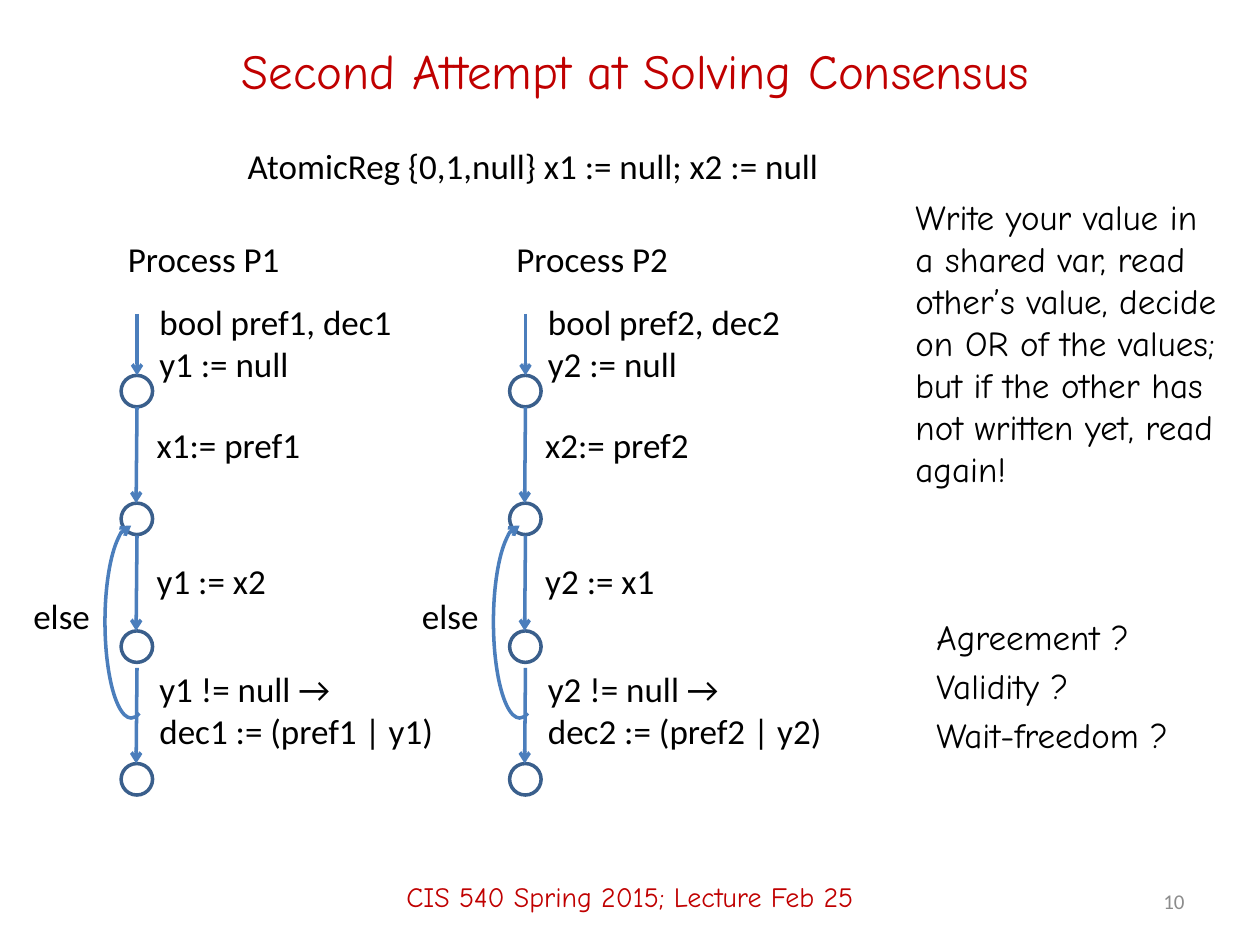
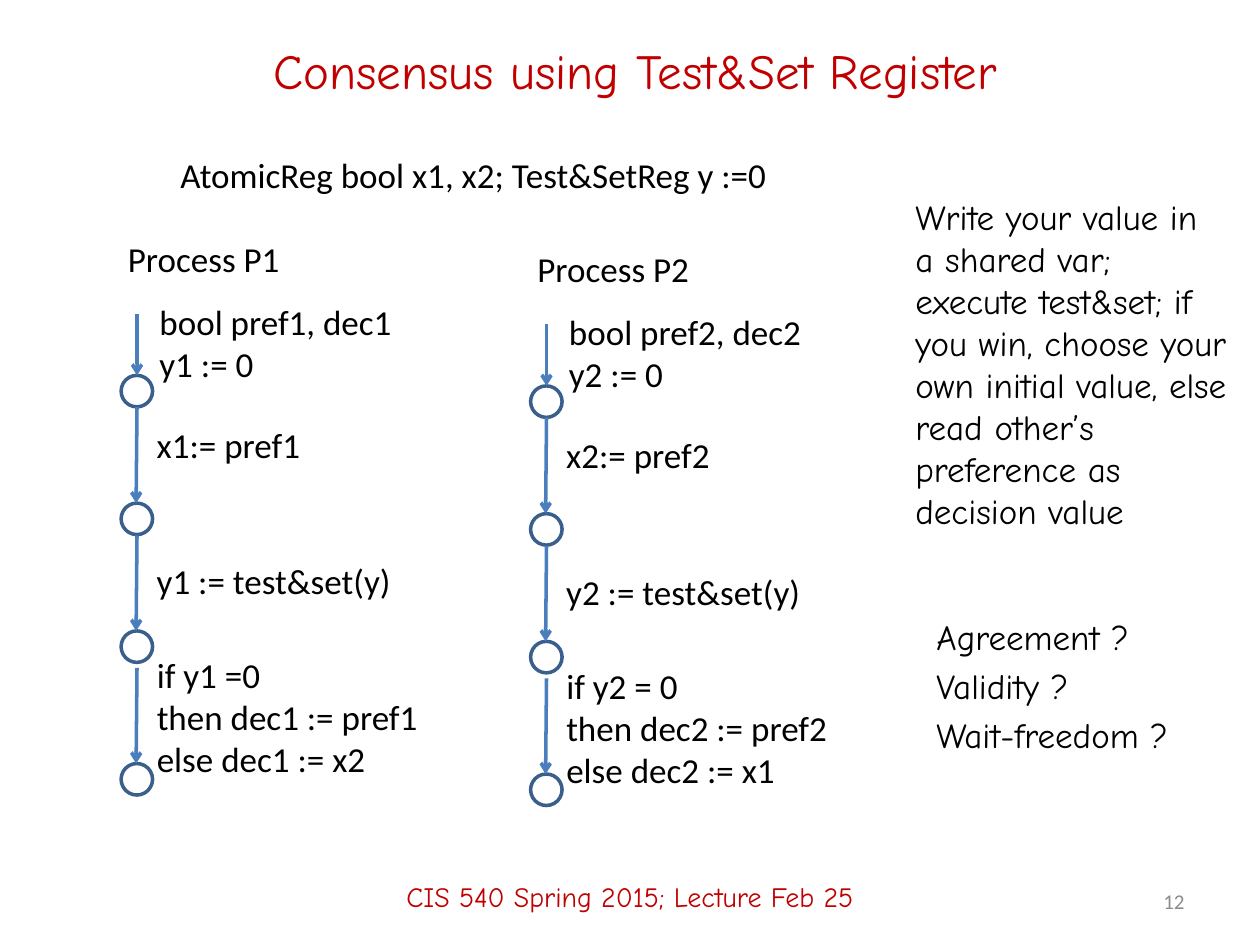
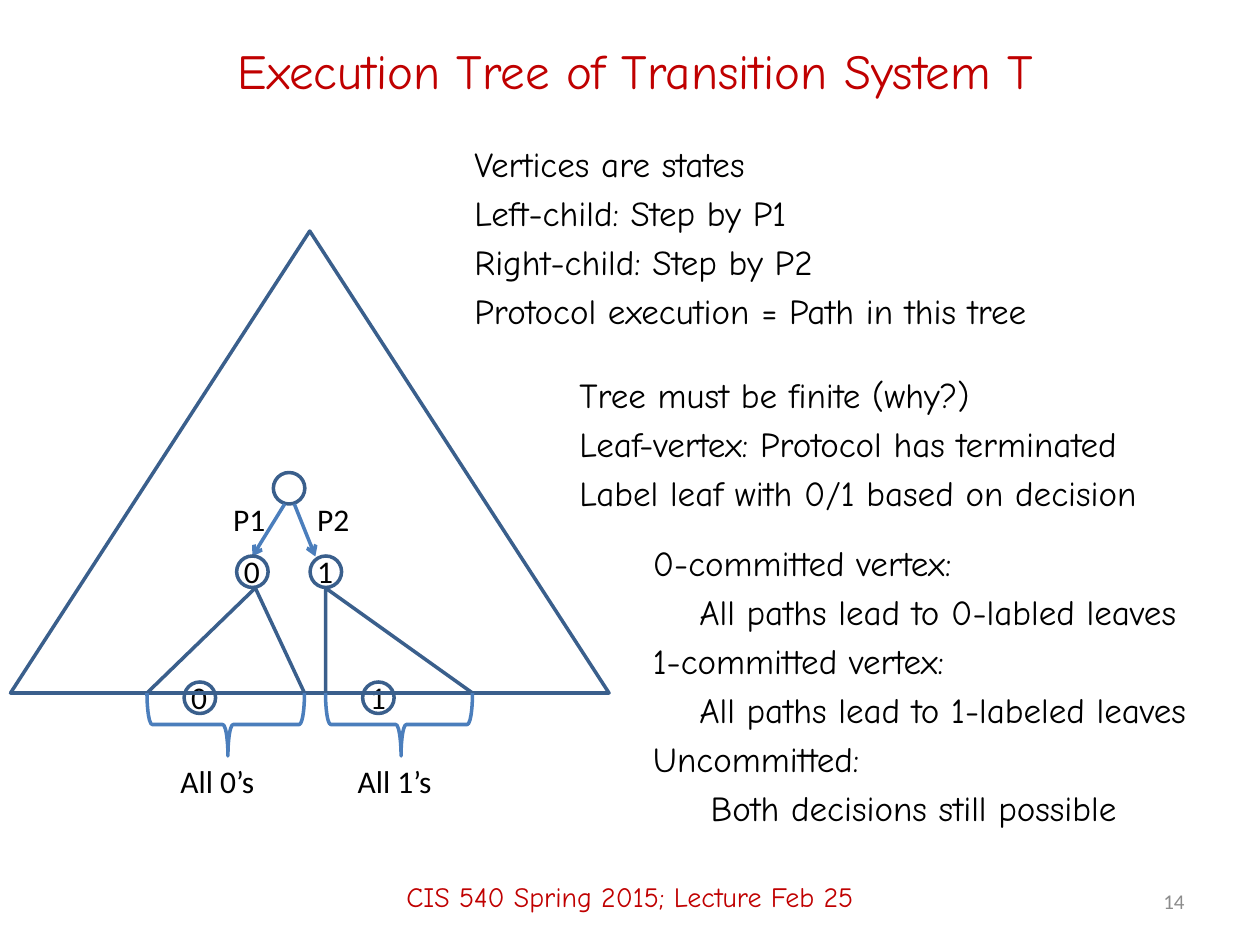
from lxml.etree import SubElement
from pptx import Presentation
from pptx.dml.color import RGBColor
from pptx.enum.shapes import MSO_CONNECTOR, MSO_SHAPE
from pptx.enum.text import MSO_ANCHOR, MSO_AUTO_SIZE, PP_ALIGN
from pptx.oxml.ns import qn
from pptx.util import Pt

COLORS = {
    "title": "C00000",
    "text": "000000",
    "number": "8C8C8C",
    "outline": "3A5F8C",
    "arrow": "4B7EBC",
}
HAND_FONT = "Comic Neue"
CODE_FONT = "Calibri"
NODE = 18
COURSE = "CIS 540 Spring 2015; Lecture Feb 25"
QUESTIONS = ["Agreement ?", "Validity ?", "Wait-freedom ?"]


def rgb(name):
    return RGBColor.from_string(COLORS[name])


def add_text(page, lines, left, top, width, height, font=CODE_FONT, size=20,
             color="text", align=PP_ALIGN.LEFT, anchor=MSO_ANCHOR.TOP,
             gap=0, indents=(), wrap=True):
    box = page.shapes.add_textbox(Pt(left), Pt(top), Pt(width), Pt(height))
    frame = box.text_frame
    frame.word_wrap = wrap
    frame.vertical_anchor = anchor
    if not wrap:
        frame.auto_size = MSO_AUTO_SIZE.SHAPE_TO_FIT_TEXT
    for index, line in enumerate(lines):
        para = frame.add_paragraph() if index else frame.paragraphs[0]
        para.text = line
        para.alignment = align
        if index and gap:
            para.space_before = Pt(gap)
        if indents and indents[index]:
            para._p.get_or_add_pPr().set("marL", str(Pt(indents[index])))
        para.font.name = font
        para.font.size = Pt(size)
        para.font.color.rgb = rgb(color)
    return box


def add_code(page, lines, left, top, width):
    add_text(page, lines, left, top, width, 7.5 + 24 * len(lines), wrap=False)


def add_remarks(page, lines, left, top, width, height, indents=()):
    add_text(page, lines, left, top, width, height, font=HAND_FONT, gap=4,
             indents=indents)


def style_line(shape, color):
    shape.line.color.rgb = rgb(color)
    shape.line.width = Pt(2)


def add_arrowhead(shape, end):
    SubElement(shape.line._get_or_add_ln(), qn(f"a:{end}"), type="arrow")


def add_outline(page, kind, left, top, width, height, color="outline", adjust=()):
    shape = page.shapes.add_shape(kind, Pt(left), Pt(top), Pt(width), Pt(height))
    shape.shadow.inherit = False
    shape.fill.background()
    style_line(shape, color)
    for index, value in enumerate(adjust):
        shape.adjustments[index] = value
    return shape


def add_arrow(page, start_x, start_y, end_x, end_y):
    arrow = page.shapes.add_connector(
        MSO_CONNECTOR.STRAIGHT, Pt(start_x), Pt(start_y), Pt(end_x), Pt(end_y))
    style_line(arrow, "arrow")
    add_arrowhead(arrow, "tailEnd")
    SubElement(arrow._element.spPr, qn("a:effectLst"))


def add_page(deck, title, number):
    page = deck.slides.add_slide(deck.slide_layouts[6])
    add_text(page, [title], 54, 12, 618, 56, HAND_FONT, 28, "title",
             PP_ALIGN.CENTER, MSO_ANCHOR.MIDDLE)
    add_text(page, [COURSE], 0, 484, 720, 56, HAND_FONT, 16, "title",
             PP_ALIGN.CENTER, MSO_ANCHOR.MIDDLE)
    add_text(page, [str(number)], 516, 500.5, 168, 28.75, CODE_FONT, 12, "number",
             PP_ALIGN.RIGHT, MSO_ANCHOR.MIDDLE)
    return page


def add_process(page, left, top, me, start, read, branch):
    add_code(page, [f"Process P{me}"], left, top, 102)
    add_code(page, [f"bool pref{me}, dec{me}"], left + 18, top + 36, 148)
    add_code(page, [f"y{me} := {start[0]}"], left + 18, top + 60, start[1])
    add_code(page, [f"x{me}:= pref{me}"], left + 16.5, top + 106.3, 97)
    add_code(page, [f"y{me} := {read[0]}"], left + 16.5, top + 184.3, read[1])
    add_code(page, branch[0], left + branch[1], top + branch[2], branch[3])

    axis = left + 12.3
    for state_top, arrow_top, drift in [
            (82.5, 47.3, 0), (155.5, 100.7, 0.5), (228.5, 174, 0.5), (304.3, 249.7, 0.5)]:
        add_outline(page, MSO_SHAPE.OVAL, left + 3.2, top + state_top, NODE, NODE)
        add_arrow(page, axis, top + arrow_top, axis - drift, top + state_top)


def add_retry(page, left, top):
    loop = add_outline(page, MSO_SHAPE.ARC, left - 6, top + 168.3, 30, 110,
                       "arrow", (162, 57.068))
    loop._element.spPr.find(qn("a:xfrm")).set("flipH", "1")
    add_arrowhead(loop, "headEnd")
    add_code(page, ["else"], left - 54, top + 204.3, 47.5)


def add_advice(page, advice):
    add_remarks(page, [advice], 516, 108, 192, 222)
    add_remarks(page, QUESTIONS, 528, 348, 192, 120)


def build_second_attempt(deck):
    page = add_page(deck, "Second Attempt at Solving Consensus", 10)
    add_code(page, ["AtomicReg {0,1,null} x1 := null; x2 := null"], 134.5, 79.2, 343.5)
    for me, other, left in [(1, 2, 66), (2, 1, 288)]:
        branch = [f"y{me} != null →", f"dec{me} := (pref{me} | y{me})"]
        add_process(page, left, 132, me, ("null", 89), (f"x{other}", 77),
                    (branch, 18, 246, 173))
        add_retry(page, left, 132)
    add_advice(page, "Write your value in a shared var, read other’s value, decide on OR "
                     "of the values; but if the other has not written yet, read again!")


def build_test_and_set(deck):
    page = add_page(deck, "Consensus using Test&Set Register", 12)
    add_code(page, ["AtomicReg bool x1, x2; Test&SetReg y :=0"], 96, 84, 352)
    for me, other, left, top, test in [
            (1, 2, 66, 132, "if y1 =0"), (2, 1, 300, 138, "if y2 = 0")]:
        branch = [test, f"then dec{me} := pref{me}", f"else dec{me} := x{other}"]
        add_process(page, left, top, me, ("0", 68), ("test&set(y)", 150),
                    (branch, 16.5, 238, 165))
    add_advice(page, "Write your value in a shared var; execute test&set; if you win, choose "
                     "your own initial value, else read other’s preference as decision value")


def add_vertex(page, left, top, label):
    add_outline(page, MSO_SHAPE.OVAL, left, top, NODE, NODE)
    add_text(page, [label], left - 3, top - 5.7, 24, 29, size=18)


def add_subtree(page, left, width, apex, label, label_left, label_width):
    top, height, depth = 336, 60, 36
    base = top + height
    add_outline(page, MSO_SHAPE.ISOSCELES_TRIANGLE, left, top, width, height, adjust=(apex,))
    brace = add_outline(page, MSO_SHAPE.LEFT_BRACE, left + (width - depth) / 2,
                        base + (depth - width) / 2, depth, width, "arrow", (0.083, 0.514))
    brace.rotation = 270
    add_text(page, [label], label_left, base + depth, label_width, 29, size=18)


def add_execution_tree(page, left, top):
    add_outline(page, MSO_SHAPE.ISOSCELES_TRIANGLE, left, top, 342, 264)
    root_left, root_top = left + 150.2, top + 138
    add_outline(page, MSO_SHAPE.OVAL, root_left, root_top, NODE, NODE)
    for step, start, end, label_left in [("P1", 6.5, -12, -30), ("P2", 12, 24, 18)]:
        add_arrow(page, root_left + start, root_top + NODE,
                  root_left + end, root_top + 48)
        add_text(page, [step], root_left + label_left, root_top + 12, 35.5, 29, size=18)
    for label, child, leaf in [("0", 129.2, 99.2), ("1", 171.2, 201.2)]:
        add_vertex(page, left + child, top + 185.7, label)
        add_vertex(page, left + leaf, top + 257.7, label)


def build_tree(deck):
    page = add_page(deck, "Execution Tree of Transition System T", 14)
    add_execution_tree(page, 6, 132)
    add_subtree(page, 84, 90, 0.688, "All 0’s", 96, 72)
    add_subtree(page, 186, 84, 0, "All 1’s", 197.3, 67)
    add_remarks(page, ["Vertices are states", "Left-child: Step by P1",
                       "Right-child: Step by P2",
                       "Protocol execution = Path in this tree"], 264, 78, 408, 114)
    add_remarks(page, ["Tree must be finite (why?)", "Leaf-vertex: Protocol has terminated",
                       "Label leaf with 0/1 based on decision"], 324, 210, 384, 114)
    add_remarks(page, ["0-committed vertex:", "All paths lead to 0-labled leaves",
                       "1-committed vertex:", "All paths lead to 1-labeled leaves",
                       "Uncommitted:", "Both decisions still possible"],
                366, 306, 354, 180, indents=(0, 26.5, 0, 26.5, 0, 33))


def main():
    deck = Presentation()
    deck.slide_width = Pt(720)
    deck.slide_height = Pt(540)
    build_second_attempt(deck)
    build_test_and_set(deck)
    build_tree(deck)
    deck.save("out.pptx")


if __name__ == "__main__":
    main()
